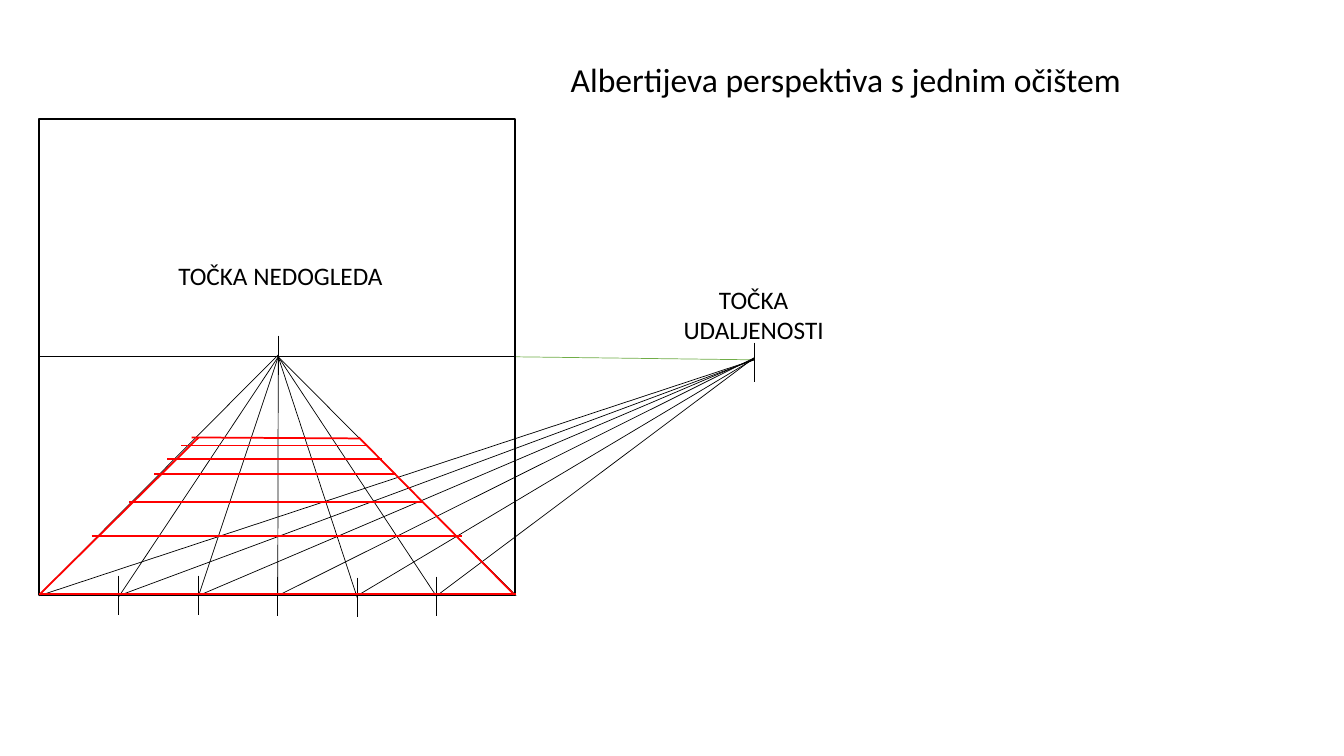
from lxml import etree
from pptx import Presentation
from pptx.dml.color import RGBColor
from pptx.enum.shapes import MSO_CONNECTOR as Connector, MSO_SHAPE as Shape
from pptx.enum.text import MSO_ANCHOR as Anchor, MSO_AUTO_SIZE as AutoSize, PP_ALIGN as Align
from pptx.oxml.ns import qn
from pptx.util import Inches, Pt

# Content
TITLE = ("Albertijeva perspektiva s jednim očištem", (5.56, 0.53, 7.34, 0.5))
DISTANCE_LABEL = ("TOČKA UDALJENOSTI", (6.67, 2.77, 1.61, 0.71))
VANISHING_LABEL = ("TOČKA NEDOGLEDA", (1.67, 2.53, 2.27, 0.4))

BLACK, WHITE, RED, GREEN = "000000", "FFFFFF", "FF0000", "70AD47"
THIN, BOLD = 0.5, 1.25

# Geometry in inches: square, horizon and the two viewing points
LEFT, TOP, SIDE = 0.39, 1.18, 4.72
RIGHT, BASE, HORIZON = 5.12, 5.91, 3.54
VANISHING = (2.76, HORIZON)
DISTANCE_X, TICK = 7.48, 0.39
DIVISIONS = [LEFT + (RIGHT - LEFT) * i / 6 for i in range(7)]
TICK_TOPS = [5.71, 5.71, 5.72, 5.73, 5.72]
VANISHING_ENDS = [5.92, 5.92, 5.91, 5.93, 5.92]
DISTANCE_ENDS = [3.57, 3.57, 3.56, 3.55, 3.56, 3.55]
# Floor rows: left, right, height
FLOOR_ROWS = [(1.66, 3.79, 4.55), (1.8, 3.65, 4.42), (1.53, 3.93, 4.7),
              (1.28, 4.19, 4.98), (0.91, 4.58, 5.32), (LEFT, RIGHT, 5.89)]

deck = Presentation()
deck.slide_width, deck.slide_height = Inches(13.33), Inches(7.5)
slide = deck.slides.add_slide(deck.slide_layouts[5])


def color(hex_code):
    return RGBColor.from_string(hex_code)


def write(box, text, *, size=18, align=Align.LEFT):
    frame = box.text_frame
    frame.text = text
    frame.word_wrap = True
    frame.auto_size = AutoSize.NONE
    frame.vertical_anchor = Anchor.TOP
    paragraph = frame.paragraphs[0]
    paragraph.alignment = align
    paragraph.font.name = "Calibri"
    paragraph.font.size = Pt(size)
    paragraph.font.color.rgb = color(BLACK)


def add_label(label, **text_format):
    text, place = label
    write(slide.shapes.add_textbox(*map(Inches, place)), text, **text_format)


def draw(start, end, hex_code=BLACK, width=THIN):
    line = slide.shapes.add_connector(Connector.STRAIGHT, *map(Inches, (*start, *end)))
    line.line.color.rgb = color(hex_code)
    line.line.width = Pt(width)
    etree.SubElement(line._element.spPr, qn("a:effectLst"))


# Picture plane
plane = slide.shapes.add_shape(Shape.RECTANGLE, *map(Inches, (LEFT, TOP, SIDE, SIDE)))
plane.shadow.inherit = False
plane.fill.solid()
plane.fill.fore_color.rgb = color(WHITE)
plane.line.color.rgb = color(BLACK)
plane.line.width = Pt(BOLD)

# Horizon and point marks
draw((DISTANCE_X, 3.4), (DISTANCE_X, 3.4 + TICK))
draw((LEFT, HORIZON), (RIGHT, HORIZON))
draw((VANISHING[0], 3.33), (VANISHING[0], 3.33 + TICK))
draw((RIGHT, HORIZON), (DISTANCE_X, 3.57), GREEN)

# Base divisions
for x, y in zip(DIVISIONS[1:-1], TICK_TOPS):
    draw((x, y), (x, y + TICK))

# Rays to the vanishing point
for x, y in zip(DIVISIONS[1:-1], VANISHING_ENDS):
    draw(VANISHING, (x, y))
draw((VANISHING[0], 3.52), (LEFT, 5.9))
draw(VANISHING, (RIGHT, BASE))

# Rays to the distance point
for x, y in zip(DIVISIONS, DISTANCE_ENDS):
    draw((x, BASE), (DISTANCE_X, y))

# Floor rows
draw((3.56, 4.35), (1.9, 4.34), RED, BOLD)
for row_left, row_right, y in FLOOR_ROWS:
    draw((row_left, y), (row_right, y), RED, BOLD)

# Point labels
add_label(DISTANCE_LABEL, align=Align.CENTER)
add_label(VANISHING_LABEL)

# Floor sides
draw((1.97, 4.34), (LEFT, 5.9), RED, BOLD)
draw((3.56, 4.34), (5.1, 5.9), RED, BOLD)

# Title
title = slide.shapes.title
title.left, title.top, title.width, title.height = map(Inches, TITLE[1])
write(title, TITLE[0], size=24)

deck.save("out.pptx")
